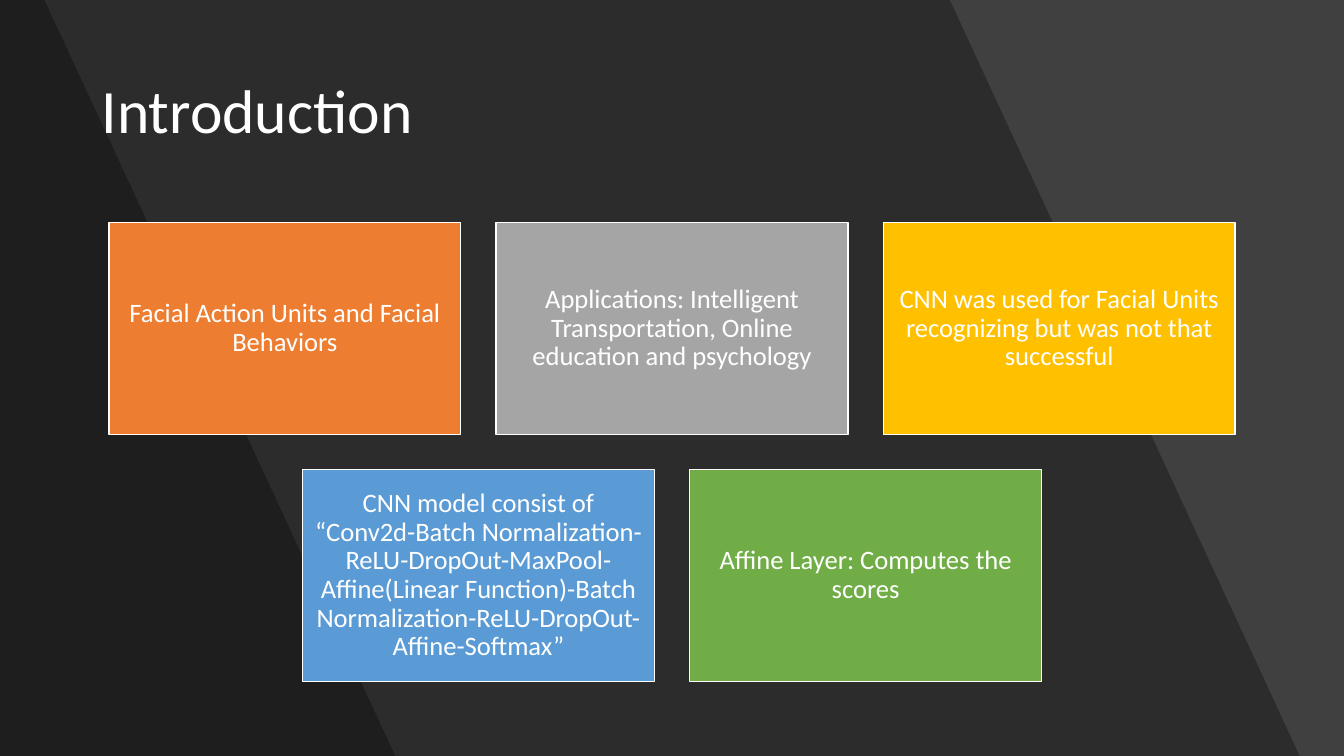
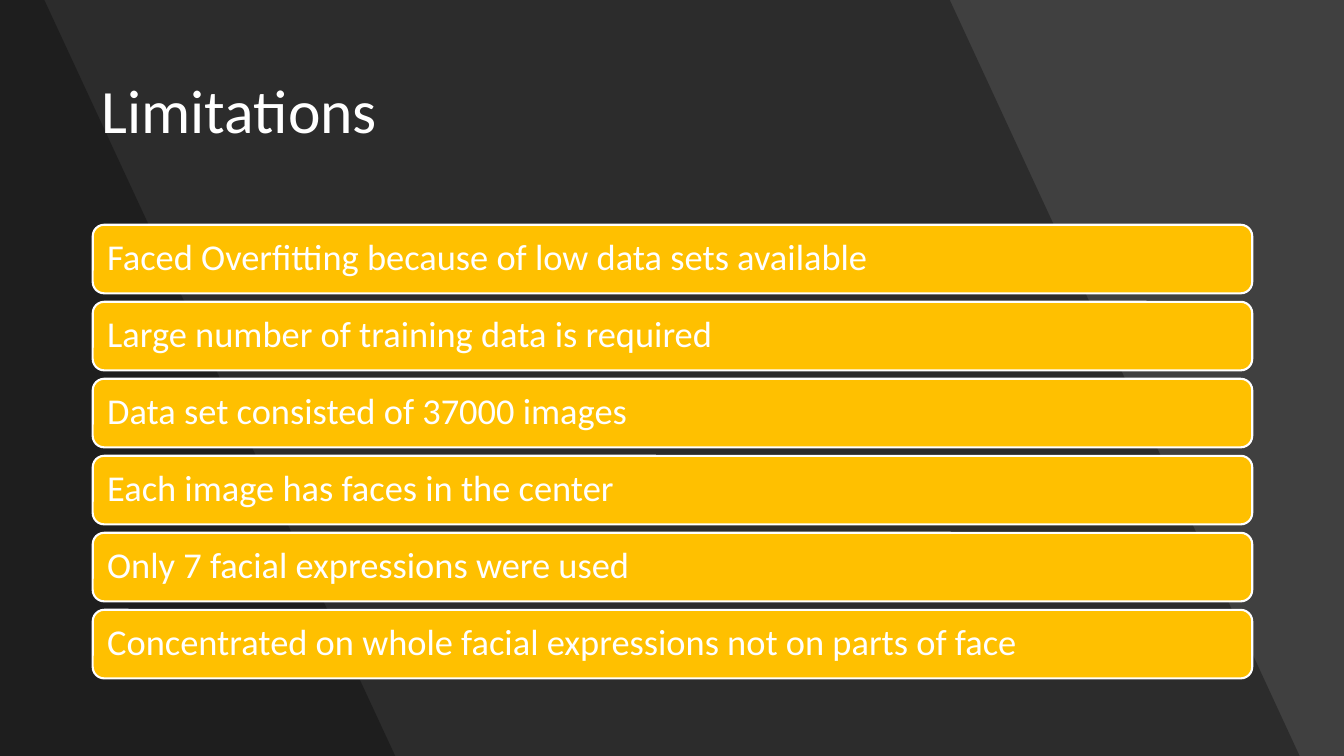
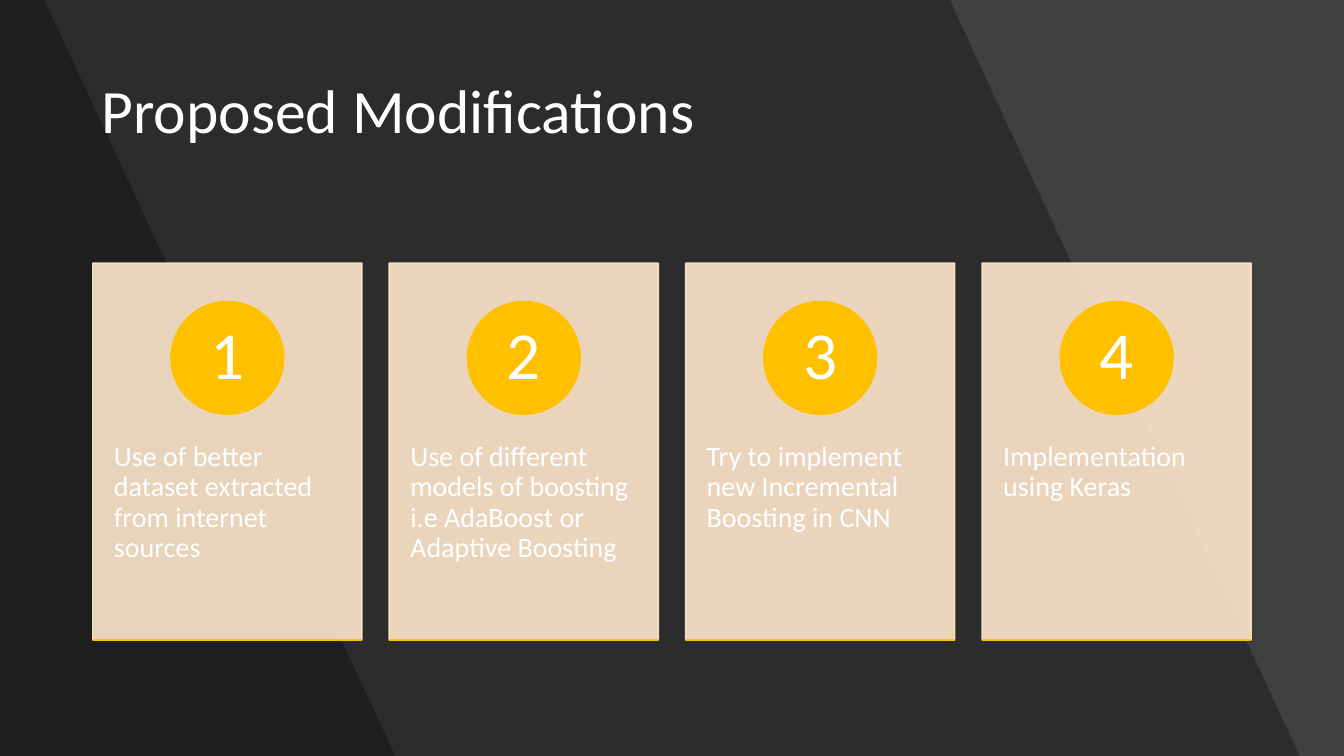
from lxml import etree
from pptx import Presentation
from pptx import util as u
from pptx.dml.color import RGBColor
from pptx.enum import shapes, text
from pptx.oxml.ns import qn

WHITE = RGBColor(0xFF, 0xFF, 0xFF)
BLACK = RGBColor(0x00, 0x00, 0x00)
CHARCOAL = RGBColor(0x40, 0x40, 0x40)
ORANGE = RGBColor(0xED, 0x7D, 0x31)
GRAY = RGBColor(0xA5, 0xA5, 0xA5)
GOLD = RGBColor(0xFF, 0xC0, 0x00)
BLUE = RGBColor(0x5B, 0x9B, 0xD5)
GREEN = RGBColor(0x70, 0xAD, 0x47)
CREAM = RGBColor(0xFF, 0xE8, 0xCC)

RECTANGLE = shapes.MSO_SHAPE.RECTANGLE
ROUNDED = shapes.MSO_SHAPE.ROUNDED_RECTANGLE
OVAL = shapes.MSO_SHAPE.OVAL
LEFT, CENTER = text.PP_ALIGN.LEFT, text.PP_ALIGN.CENTER
TOP, MIDDLE = text.MSO_ANCHOR.TOP, text.MSO_ANCHOR.MIDDLE

SLIDE_WIDTH, SLIDE_HEIGHT = 13.33, 7.5


class Deck:
    font = "Calibri"
    line_spacing = 0.9
    bands = ((9.42, 12.89), (0.44, 3.92))

    def __init__(self):
        self.presentation = Presentation()
        self.presentation.slide_width = u.Inches(SLIDE_WIDTH)
        self.presentation.slide_height = u.Inches(SLIDE_HEIGHT)
        self.slide = None

    def add_slide(self, title):
        self.slide = self.presentation.slides.add_slide(self.presentation.slide_layouts[6])
        background = self.slide.background.fill
        background.solid()
        background.fore_color.rgb = CHARCOAL
        for top_right, bottom_right in self.bands:
            self.band(top_right, bottom_right)
        box = self.slide.shapes.add_textbox(*map(u.Inches, (0.91, 0.4, 11.51, 1.45)))
        self.set_text(box, title, 44, LEFT, MIDDLE, (0.1, 0.05, 0.1, 0.05))

    def band(self, top_right, bottom_right):
        builder = self.slide.shapes.build_freeform(0, 0)
        corners = ((top_right, 0), (bottom_right, SLIDE_HEIGHT), (0, SLIDE_HEIGHT))
        builder.add_line_segments([(u.Inches(x), u.Inches(y)) for x, y in corners])
        shape = builder.convert_to_shape()
        self.paint(shape, BLACK, opacity=30)

    def paint(self, shape, fill, line=None, line_width=1, opacity=100):
        shape.shadow.inherit = False
        shape.fill.solid()
        shape.fill.fore_color.rgb = fill
        if line is None:
            shape.line.fill.background()
        else:
            shape.line.color.rgb = line
            shape.line.width = u.Pt(line_width)
        if opacity < 100:
            for color in shape.element.spPr.iter(qn("a:srgbClr")):
                etree.SubElement(color, qn("a:alpha"), val=str(opacity * 1000))

    def set_text(self, shape, words, size, align, anchor, insets):
        frame = shape.text_frame
        frame.text = words
        frame.word_wrap = True
        frame.vertical_anchor = anchor
        (frame.margin_left, frame.margin_top,
         frame.margin_right, frame.margin_bottom) = map(u.Inches, insets)
        for paragraph in frame.paragraphs:
            paragraph.alignment = align
            paragraph.line_spacing = self.line_spacing
            for run in paragraph.runs:
                run.font.name = self.font
                run.font.size = u.Pt(size)
                run.font.color.rgb = WHITE

    def panel(self, kind, place, words, size, fill, line, line_width=1, opacity=100,
              align=CENTER, anchor=MIDDLE, insets=(0.08, 0.08, 0.08, 0.08)):
        shape = self.slide.shapes.add_shape(kind, *map(u.Inches, place))
        self.paint(shape, fill, line, line_width, opacity)
        self.set_text(shape, words, size, align, anchor, insets)

    def rule(self, left, top, width, color):
        connector = self.slide.shapes.add_connector(
            shapes.MSO_CONNECTOR.STRAIGHT, *map(u.Inches, (left, top, left + width, top)))
        connector.line.color.rgb = color
        connector.line.width = u.Pt(1)
        etree.SubElement(connector.element.spPr, qn("a:effectLst"))


def add_introduction(deck):
    deck.add_slide("Introduction")
    rows = (
        (("Facial Action Units and Facial Behaviors", ORANGE),
         ("Applications: Intelligent Transportation, Online education and psychology", GRAY),
         ("CNN was used for Facial Units recognizing but was not that successful", GOLD)),
        (("CNN model consist of “Conv2d-Batch Normalization-ReLU-DropOut-MaxPool-"
          "Affine(Linear Function)-Batch Normalization-ReLU-DropOut-Affine-Softmax”", BLUE),
         ("Affine Layer: Computes the scores", GREEN)),
    )
    width, height, gap = 3.49, 2.1, 0.35
    for row, topics in enumerate(rows):
        row_left = (SLIDE_WIDTH - len(topics) * (width + gap) + gap) / 2
        top = 2.21 + row * (height + gap)
        for column, (topic, color) in enumerate(topics):
            left = row_left + column * (width + gap)
            deck.panel(RECTANGLE, (left, top, width, height), topic, 19, color, WHITE)


def add_limitations(deck):
    deck.add_slide("Limitations")
    limitations = (
        "Faced Overfitting because of low data sets available",
        "Large number of training data is required",
        "Data set consisted of 37000 images",
        "Each image has faces in the center",
        "Only 7 facial expressions were used",
        "Concentrated on whole facial expressions not on parts of face",
    )
    first_top, last_top = 2.23, 6.05
    pitch = (last_top - first_top) / (len(limitations) - 1)
    for row, limitation in enumerate(limitations):
        deck.panel(ROUNDED, (0.92, first_top + row * pitch, 11.5, 0.68), limitation, 26,
                   GOLD, WHITE, line_width=1.5, align=LEFT, insets=(0.11, 0.11, 0.11, 0.11))


def add_modifications(deck):
    deck.add_slide("Proposed Modifications")
    modifications = (
        "Use of better dataset extracted from internet sources",
        "Use of different models of boosting i.e AdaBoost or Adaptive Boosting",
        "Try to implement new Incremental Boosting in CNN",
        "Implementation using Keras",
    )
    top, width, height, gap, badge = 2.61, 2.67, 3.74, 0.27, 1.12
    for column, modification in enumerate(modifications):
        left = 0.92 + column * (width + gap)
        deck.panel(RECTANGLE, (left, top, width, height), modification, 20, CREAM, CREAM,
                   opacity=90, align=LEFT, anchor=TOP, insets=(0.21, 1.78, 0.21, 0.43))
        deck.panel(OVAL, (left + (width - badge) / 2, 2.99, badge, badge), str(column + 1), 48,
                   GOLD, GOLD, insets=(0.09, 0.01, 0.09, 0.01))
        deck.rule(left, top + height, width, GOLD)


deck = Deck()
add_introduction(deck)
add_limitations(deck)
add_modifications(deck)
deck.presentation.save("out.pptx")
